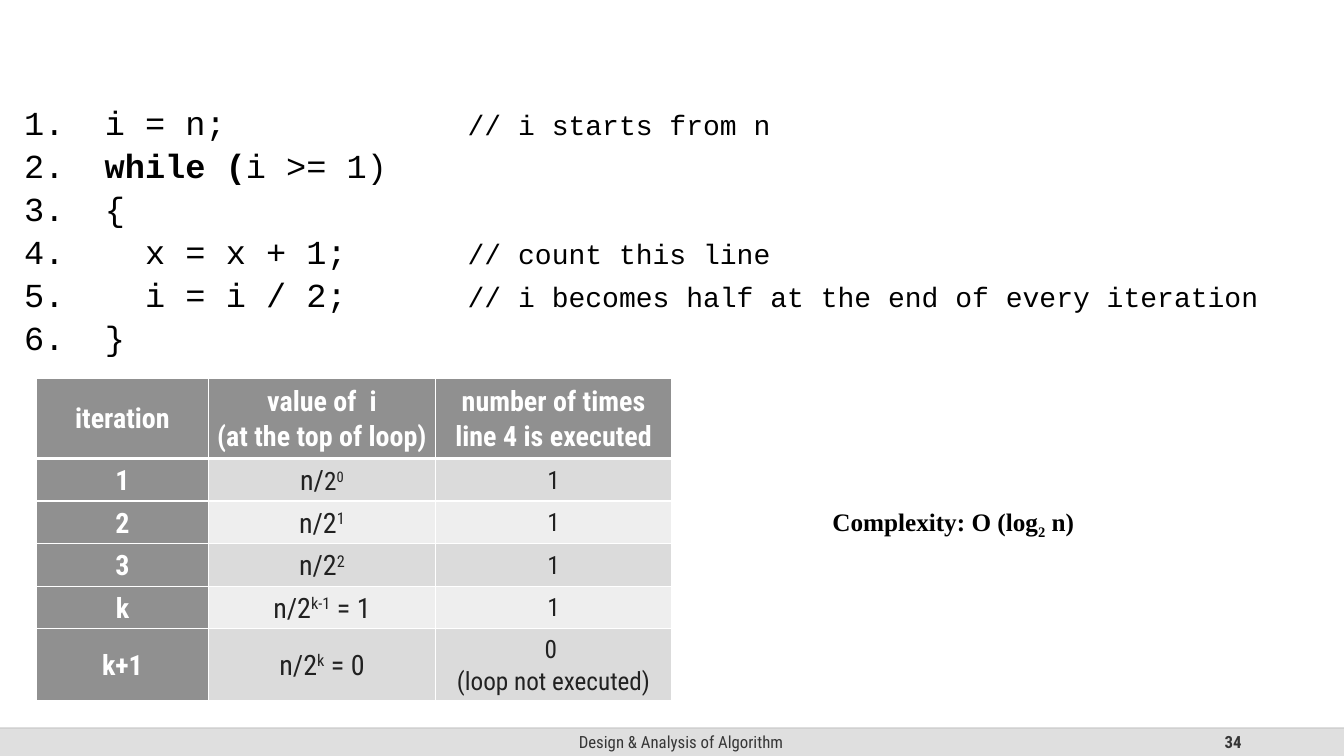
from lxml.etree import SubElement
from pptx import Presentation
from pptx.dml.color import RGBColor
from pptx.enum.shapes import MSO_CONNECTOR, MSO_SHAPE
from pptx.enum.text import MSO_ANCHOR, MSO_AUTO_SIZE, PP_ALIGN
from pptx.oxml.ns import qn
from pptx.util import Pt

BLACK = RGBColor(0x00, 0x00, 0x00)
WHITE = RGBColor(0xFF, 0xFF, 0xFF)
FOOTER_BAND = RGBColor(0xDF, 0xDF, 0xDF)
FOOTER_RULE = RGBColor(0xBF, 0xBF, 0xBF)
FOOTER_TEXT = RGBColor(0x36, 0x36, 0x36)
HEAD_FILL = RGBColor(0x90, 0x90, 0x90)
ROW_FILLS = (RGBColor(0xDB, 0xDB, 0xDB), RGBColor(0xEE, 0xEE, 0xEE))
CELL_TEXT = RGBColor(0x21, 0x21, 0x21)

SLIDE_WIDTH, SLIDE_HEIGHT = Pt(960), Pt(540)
FOOTER_TOP, FOOTER_HEIGHT = Pt(520), Pt(20)

CODE = {"name": "Courier New", "size": Pt(24), "color": BLACK}
KEYWORD = {**CODE, "bold": True}
COMMENT = {**CODE, "size": Pt(20)}
FOOTER = {"name": "Roboto Condensed", "size": Pt(12), "color": FOOTER_TEXT}
HEADING = {"name": "Roboto Condensed", "size": Pt(20), "color": WHITE, "bold": True}
VALUE = {"name": "Roboto Condensed", "size": Pt(20), "color": CELL_TEXT, "bold": False}
COUNT = {**VALUE, "size": Pt(18)}
ANSWER = {"name": "Times New Roman", "size": Pt(18), "color": BLACK, "bold": True}

CODE_COLUMNS = 18
# keyword, code, comment
CODE_LINES = [
    ("", "i = n;", "// i starts from n"),
    ("while (", "i >= 1)", ""),
    ("", "{", ""),
    ("", "  x = x + 1;", "// count this line"),
    ("", "  i = i / 2;", "// i becomes half at the end of every iteration"),
    ("", "}", ""),
]

COLUMN_WIDTHS = (123, 162, 169)
ROW_HEIGHTS = (57.5, 30.4, 30.4, 30.4, 30.4, 51.5)
COLUMN_HEADINGS = ("iteration", "value of  i\n(at the top of loop)",
                   "number of times\nline 4 is executed")
ITERATIONS = [
    ("1", [("n/", VALUE), ("2", COUNT), ("0", COUNT, 30)], "1"),
    ("2", [("n/2", VALUE), ("1", VALUE, 30)], "1"),
    ("3", [("n/2", VALUE), ("2", VALUE, 30)], "1"),
    ("k", [("n/2", VALUE), ("k-1", VALUE, 30), (" = 1", VALUE)], "1"),
    ("k+1", [("n/2", VALUE), ("k", VALUE, 30), (" = 0", VALUE)],
     "0 \n(loop not executed)"),
]


def apply_format(font, values):
    for attribute, value in values.items():
        if attribute == "color":
            font.color.rgb = value
        else:
            setattr(font, attribute, value)


def write_runs(paragraph, parts):
    """Add (text, format[, baseline percent]) parts; a newline breaks the line."""
    for text, values, *baseline in parts:
        for number, line in enumerate(text.split("\n")):
            if number:
                paragraph.add_line_break()
            run = paragraph.add_run()
            run.text = line
            apply_format(run.font, values)
            if baseline:
                run._r.get_or_add_rPr().set("baseline", str(baseline[0] * 1000))


def set_code_layout(paragraph):
    paragraph.line_spacing = 1.07
    paragraph.space_before = Pt(0)
    properties = paragraph._p.get_or_add_pPr()
    properties.set("marL", "0")
    properties.set("indent", "0")
    SubElement(properties, qn("a:buNone"))


def code_parts(number, keyword, code, comment):
    """Pad code that has a comment, so that the comments line up."""
    if comment:
        code = code.ljust(CODE_COLUMNS)
    label = f"{number}.  "
    if keyword:
        return [(label, CODE), (keyword, KEYWORD), (code, CODE)]
    parts = [(label + code, CODE)]
    return parts + [(comment, COMMENT)] if comment else parts


def fill_code(body):
    body.left, body.top, body.width, body.height = Pt(10), Pt(67), Pt(940), Pt(440)
    frame = body.text_frame
    frame.auto_size = MSO_AUTO_SIZE.NONE
    frame.vertical_anchor = MSO_ANCHOR.TOP
    for number, line in enumerate(CODE_LINES, start=1):
        paragraph = frame.paragraphs[0] if number == 1 else frame.add_paragraph()
        set_code_layout(paragraph)
        write_runs(paragraph, code_parts(number, *line))


def add_text(slide, left, top, width, height, align):
    """Add a wrapping text box and return its frame."""
    frame = slide.shapes.add_textbox(left, top, width, height).text_frame
    frame.word_wrap = True
    frame.paragraphs[0].alignment = align
    return frame


def add_footer(slide):
    band = slide.shapes.add_shape(
        MSO_SHAPE.RECTANGLE, 0, FOOTER_TOP, SLIDE_WIDTH, FOOTER_HEIGHT)
    band.shadow.inherit = False
    band.fill.solid()
    band.fill.fore_color.rgb = FOOTER_BAND
    band.line.fill.background()

    rule = slide.shapes.add_connector(
        MSO_CONNECTOR.STRAIGHT, 0, FOOTER_TOP, SLIDE_WIDTH, FOOTER_TOP)
    rule.line.color.rgb = FOOTER_RULE
    rule.line.width = Pt(1)
    rule_color = rule.line._ln.find(".//" + qn("a:srgbClr"))
    SubElement(rule_color, qn("a:alpha"), val="70000")
    SubElement(rule._element.spPr, qn("a:effectLst"))

    course = add_text(slide, Pt(318), FOOTER_TOP, Pt(337), FOOTER_HEIGHT,
                      PP_ALIGN.CENTER)
    course.vertical_anchor = MSO_ANCHOR.MIDDLE
    write_runs(course.paragraphs[0], [("Design & Analysis of Algorithm", FOOTER)])

    page = add_text(slide, Pt(678), FOOTER_TOP, Pt(216), FOOTER_HEIGHT,
                    PP_ALIGN.RIGHT)
    page.vertical_anchor = MSO_ANCHOR.MIDDLE
    write_runs(page.paragraphs[0], [("34", {**FOOTER, "bold": True})])


def set_borders(cell, row):
    """Draw white cell borders, thicker below the heading row."""
    properties = cell._tc.get_or_add_tcPr()
    widths = {"a:lnL": 1, "a:lnR": 1, "a:lnT": 1, "a:lnB": 1 if row else 3}
    if row == 1:
        del widths["a:lnT"]
    for side, width in widths.items():
        border = SubElement(properties, qn(side), w=str(Pt(width)))
        paint = SubElement(border, qn("a:solidFill"))
        SubElement(paint, qn("a:srgbClr"), val=str(WHITE))


def fill_cell(cell, row, parts, color):
    set_borders(cell, row)
    cell.fill.solid()
    cell.fill.fore_color.rgb = color
    cell.vertical_anchor = MSO_ANCHOR.MIDDLE
    for side in ("left", "right", "top", "bottom"):
        setattr(cell, f"margin_{side}", Pt(1.5))
    paragraph = cell.text_frame.paragraphs[0]
    paragraph.alignment = PP_ALIGN.CENTER
    paragraph.line_spacing = 1.07
    paragraph.space_after = Pt(8)
    write_runs(paragraph, parts)


def add_iteration_table(slide):
    table = slide.shapes.add_table(
        len(ROW_HEIGHTS), len(COLUMN_WIDTHS), Pt(26), Pt(270),
        Pt(sum(COLUMN_WIDTHS)), Pt(sum(ROW_HEIGHTS))).table
    for column, width in zip(table.columns, COLUMN_WIDTHS):
        column.width = Pt(width)
    for table_row, height in zip(table.rows, ROW_HEIGHTS):
        table_row.height = Pt(height)

    for column, heading in enumerate(COLUMN_HEADINGS):
        fill_cell(table.cell(0, column), 0, [(heading, HEADING)], HEAD_FILL)
    for row, (iteration, value, count) in enumerate(ITERATIONS, start=1):
        row_fill = ROW_FILLS[(row - 1) % 2]
        fill_cell(table.cell(row, 0), row, [(iteration, HEADING)], HEAD_FILL)
        fill_cell(table.cell(row, 1), row, value, row_fill)
        fill_cell(table.cell(row, 2), row, [(count, COUNT)], row_fill)


def add_complexity(slide):
    frame = add_text(slide, Pt(587.5), Pt(356.5), Pt(247), Pt(29.5), PP_ALIGN.LEFT)
    frame.auto_size = MSO_AUTO_SIZE.SHAPE_TO_FIT_TEXT
    paragraph = frame.paragraphs[0]
    paragraph.line_spacing = 1.07
    paragraph.space_after = Pt(8)
    write_runs(paragraph, [("Complexity: O (log", ANSWER), ("2", ANSWER, -25),
                           (" n)", ANSWER)])


def main():
    deck = Presentation()
    deck.slide_width, deck.slide_height = SLIDE_WIDTH, SLIDE_HEIGHT
    slide = deck.slides.add_slide(deck.slide_layouts[1])
    empty_title = slide.shapes.title._element
    empty_title.getparent().remove(empty_title)
    add_footer(slide)
    fill_code(slide.placeholders[1])
    add_iteration_table(slide)
    add_complexity(slide)
    deck.save("out.pptx")


if __name__ == "__main__":
    main()
